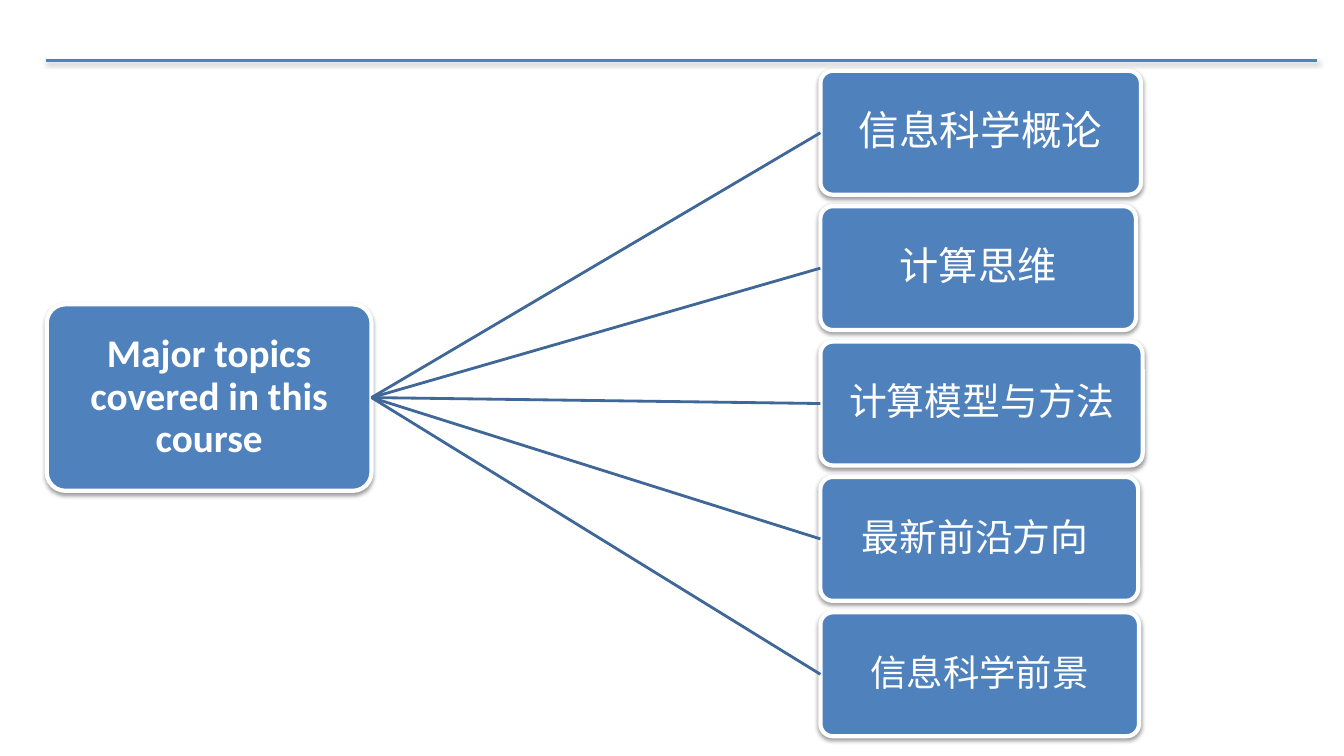
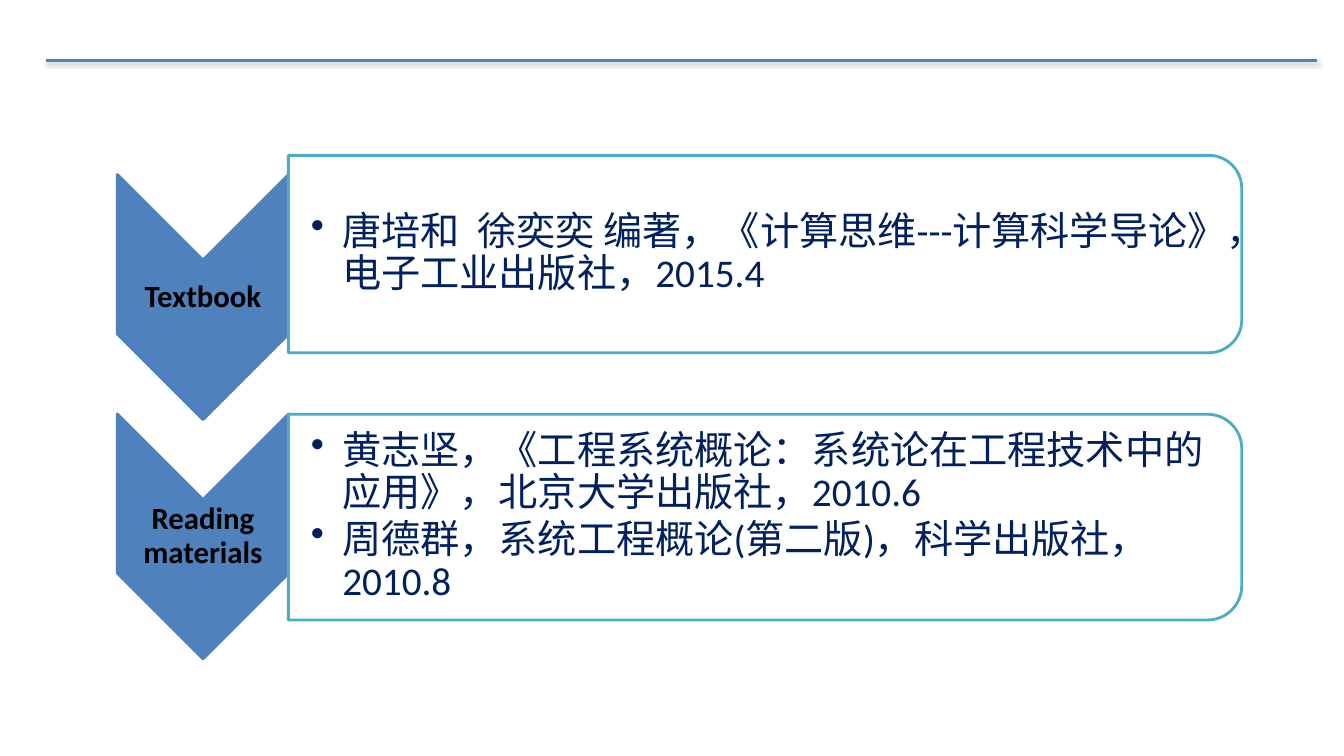
"""Build two course slides: a topic tree and a reading list."""
from lxml.etree import SubElement
from pptx import Presentation
from pptx.dml.color import RGBColor
from pptx.enum.shapes import MSO_CONNECTOR, MSO_SHAPE
from pptx.enum.text import MSO_ANCHOR, PP_ALIGN
from pptx.oxml.ns import qn
from pptx.util import Pt

BLUE = RGBColor(0x4F, 0x81, 0xBD)
BRANCH_BLUE = RGBColor(0x3F, 0x67, 0x97)
TEAL = RGBColor(0x4B, 0xAC, 0xC6)
NAVY = RGBColor(0x00, 0x20, 0x60)
WHITE = RGBColor(0xFF, 0xFF, 0xFF)
BLACK = RGBColor(0x00, 0x00, 0x00)


def style(shape, line_color, line_width, fill_color=None, shadowed=False):
    if fill_color is not None:
        shape.fill.solid()
        shape.fill.fore_color.rgb = fill_color
    shape.line.color.rgb = line_color
    shape.line.width = Pt(line_width)
    effects = SubElement(shape._element.spPr, qn("a:effectLst"))
    if shadowed:
        shadow = SubElement(effects, qn("a:outerShdw"), blurRad=str(Pt(3.1)),
                            dist=str(Pt(1.6)), dir="5400000", rotWithShape="0")
        color = SubElement(shadow, qn("a:srgbClr"), val="000000")
        SubElement(color, qn("a:alpha"), val="38000")


def write(shape, texts, size, color, bold=False, bulleted=False):
    frame = shape.text_frame
    frame.word_wrap = True
    frame.vertical_anchor = MSO_ANCHOR.MIDDLE
    frame.margin_left = Pt(16 if bulleted else 1.5)
    frame.margin_right = frame.margin_top = frame.margin_bottom = Pt(1.5)
    for index, text in enumerate(texts):
        paragraph = frame.add_paragraph() if index else frame.paragraphs[0]
        paragraph.alignment = PP_ALIGN.LEFT if bulleted else PP_ALIGN.CENTER
        paragraph.line_spacing = 0.9
        if bulleted:
            paragraph.level = 1
            paragraph.space_after = Pt(3)
            properties = paragraph._p.get_or_add_pPr()
            properties.set("marL", str(Pt(22.5)))
            properties.set("indent", str(Pt(-22.5)))
            SubElement(properties, qn("a:buChar"), char="•")
        run = paragraph.add_run()
        run.text = text
        run.font.name = "Calibri"
        run.font.size = Pt(size)
        run.font.bold = bold
        run.font.color.rgb = color


presentation = Presentation()
presentation.slide_width = Pt(960)
presentation.slide_height = Pt(540)
layout = presentation.slide_layouts[6]

slide = presentation.slides.add_slide(layout)
header_rule = slide.shapes.add_connector(
    MSO_CONNECTOR.STRAIGHT, Pt(32.6), Pt(43.5), Pt(941), Pt(43.5))
style(header_rule, BLUE, 2, shadowed=True)
layout.shapes._spTree.append(header_rule._element)

root = slide.shapes.add_shape(
    MSO_SHAPE.ROUNDED_RECTANGLE, Pt(33.4), Pt(217.4), Pt(232), Pt(133.2))
root.adjustments[0] = 0.1
style(root, WHITE, 3, BLUE, shadowed=True)
write(root, ["Major topics covered in this course"], 28, WHITE, bold=True)

topics = [
    ("信息科学概论", 229, 29),
    ("计算思维", 225.4, 28),
    ("计算模型与方法", 230.2, 27),
    ("最新前沿方向 ", 227, 27),
    ("信息科学前景", 227.6, 26),
]
for index, (name, width, size) in enumerate(topics):
    topic = slide.shapes.add_shape(
        MSO_SHAPE.ROUNDED_RECTANGLE,
        Pt(586), Pt(50.6 + index * 96.7), Pt(width), Pt(88.5))
    topic.adjustments[0] = 0.1
    style(topic, WHITE, 3, BLUE, shadowed=True)
    write(topic, [name], size, WHITE)
    branch = slide.shapes.add_connector(MSO_CONNECTOR.STRAIGHT, 0, 0, 0, 0)
    branch.begin_connect(root, 3)
    branch.end_connect(topic, 1)
    style(branch, BRANCH_BLUE, 2)

slide = presentation.slides.add_slide(layout)
CHEVRON_LENGTH, CHEVRON_SPAN, CHEVRON_CENTER = 175, 122.4, 145
PANEL_LEFT, PANEL_WIDTH = 206, 681
sections = [
    ("Textbook", 212.2, 181.5, 141,
     ["唐培和  徐奕奕 编著，《计算思维---计算科学导论》，电子工业出版社，2015.4"]),
    ("Reading materials", 383.2, 369.4, 147,
     ["黄志坚，《工程系统概论：系统论在工程技术中的应用》，北京大学出版社，2010.6",
      "周德群，系统工程概论(第二版)，科学出版社，2010.8"]),
]
for name, chevron_middle, panel_middle, panel_height, books in sections:
    chevron = slide.shapes.add_shape(
        MSO_SHAPE.CHEVRON,
        Pt(CHEVRON_CENTER - CHEVRON_LENGTH / 2), Pt(chevron_middle - CHEVRON_SPAN / 2),
        Pt(CHEVRON_LENGTH), Pt(CHEVRON_SPAN))
    chevron.rotation = 90
    style(chevron, BLUE, 2, BLUE)
    label = slide.shapes.add_textbox(
        Pt(CHEVRON_CENTER - CHEVRON_SPAN / 2), Pt(chevron_middle - 26.3),
        Pt(CHEVRON_SPAN), Pt(52.6))
    write(label, [name], 22, BLACK, bold=True)

    panel = slide.shapes.add_shape(
        MSO_SHAPE.ROUND_2_SAME_RECTANGLE,
        Pt(PANEL_LEFT + (PANEL_WIDTH - panel_height) / 2),
        Pt(panel_middle - PANEL_WIDTH / 2), Pt(panel_height), Pt(PANEL_WIDTH))
    panel.rotation = 90
    style(panel, TEAL, 2, WHITE)
    book_list = slide.shapes.add_textbox(
        Pt(PANEL_LEFT), Pt(panel_middle - panel_height / 2 + 7),
        Pt(PANEL_WIDTH - 7), Pt(panel_height - 14))
    write(book_list, books, 28, NAVY, bulleted=True)

presentation.save("out.pptx")
